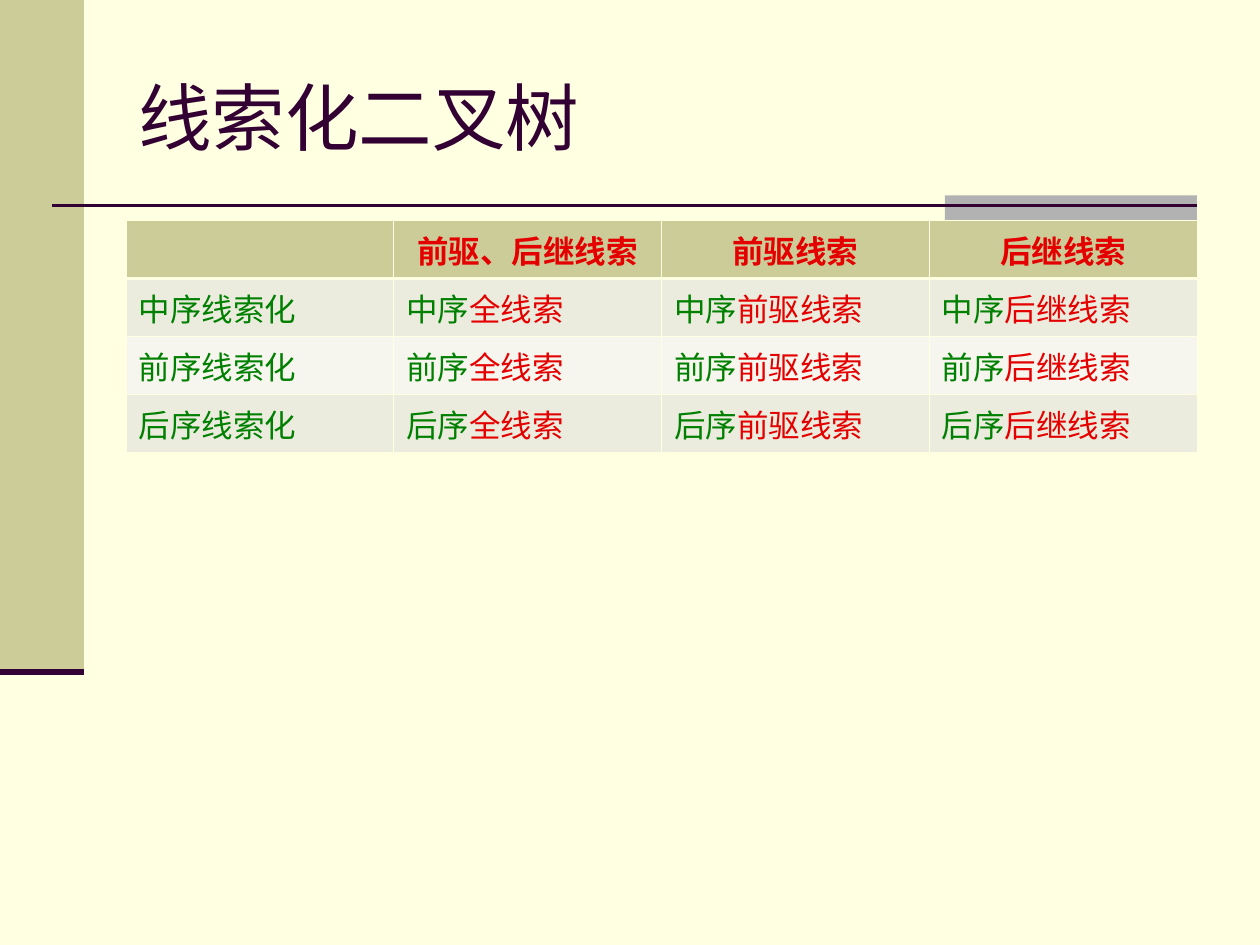
from dataclasses import dataclass

from lxml import etree
from pptx import Presentation
from pptx.dml.color import RGBColor
from pptx.enum.shapes import MSO_CONNECTOR, MSO_SHAPE
from pptx.enum.text import MSO_ANCHOR, PP_ALIGN
from pptx.oxml.ns import qn
from pptx.slide import Slide
from pptx.table import _Cell
from pptx.util import Pt

STRAIGHT = MSO_CONNECTOR.STRAIGHT
RECTANGLE = MSO_SHAPE.RECTANGLE
MIDDLE = MSO_ANCHOR.MIDDLE
LEFT = PP_ALIGN.LEFT
CENTER = PP_ALIGN.CENTER

FONT = "Arial"
COLORS = {
    "page": "FFFFE1",
    "olive": "CCCC99",
    "gray": "B2B2B2",
    "plum": "330033",
    "red": "E50000",
    "green": "008000",
    "band_dark": "ECECDE",
    "band_light": "F6F6EF",
}
ORDERS = ["中序", "前序", "后序"]
HEADINGS = ["前驱、后继线索", "前驱线索", "后继线索"]
THREADS = ["全线索", "前驱线索", "后继线索"]
ROW_HEIGHT = 33.12
THIN, THICK = 0.45, 1.47


@dataclass
class Block:
    left: float
    top: float
    width: float
    height: float
    color: str


@dataclass
class Rule:
    left: float
    right: float
    y: float
    weight: float


@dataclass
class Span:
    text: str
    color: str


BLOCKS = [Block(0, 0, 48, 384, "olive"), Block(540, 111.6, 144, 14.4, "gray")]
RULES = [Rule(30, 684, 117.5, 1.5), Rule(0, 48, 384, 3.5)]


def rgb(name: str) -> RGBColor:
    return RGBColor.from_string(COLORS[name])


def draw_block(page: Slide, block: Block) -> None:
    box = page.shapes.add_shape(
        RECTANGLE, Pt(block.left), Pt(block.top), Pt(block.width), Pt(block.height)
    )
    box.shadow.inherit = False
    box.fill.solid()
    box.fill.fore_color.rgb = rgb(block.color)
    box.line.fill.background()


def draw_rule(page: Slide, rule: Rule) -> None:
    line = page.shapes.add_connector(
        STRAIGHT, Pt(rule.left), Pt(rule.y), Pt(rule.right), Pt(rule.y)
    )
    line.line.color.rgb = rgb("plum")
    line.line.width = Pt(rule.weight)
    etree.SubElement(line._element.spPr, qn("a:effectLst"))


def draw_title(page: Slide, text: str) -> None:
    box = page.shapes.add_textbox(Pt(72), Pt(21.6), Pt(612), Pt(90))
    frame = box.text_frame
    frame.word_wrap = True
    frame.vertical_anchor = MIDDLE
    para = frame.paragraphs[0]
    para.text = text
    para.font.name = FONT
    para.font.size = Pt(42)
    para.font.color.rgb = rgb("plum")


def set_borders(cell: _Cell, top: float, bottom: float) -> None:
    properties = cell._tc.get_or_add_tcPr()
    weights = {"lnL": THIN, "lnR": THIN, "lnT": top, "lnB": bottom}
    for tag, weight in weights.items():
        border = etree.SubElement(properties, qn(f"a:{tag}"), w=str(Pt(weight)))
        fill = etree.SubElement(border, qn("a:solidFill"))
        etree.SubElement(fill, qn("a:srgbClr"), val=COLORS["page"])


def fill_cell(cell: _Cell, spans: list[Span], row: int) -> None:
    is_header = row == 0
    set_borders(cell, THICK if row == 1 else THIN, THICK if is_header else THIN)
    cell.fill.solid()
    band = "band_dark" if row % 2 else "band_light"
    cell.fill.fore_color.rgb = rgb("olive" if is_header else band)
    para = cell.text_frame.paragraphs[0]
    para.alignment = CENTER if is_header else LEFT
    para.font.name = FONT
    para.font.size = Pt(18)
    para.font.bold = is_header
    for span in spans:
        run = para.add_run()
        run.text = span.text
        run.font.color.rgb = rgb(span.color)


def draw_table(page: Slide) -> None:
    rows = [[[]] + [[Span(heading, "red")] for heading in HEADINGS]]
    for order in ORDERS:
        cells = [[Span(order, "green"), Span(thread, "red")] for thread in THREADS]
        rows.append([[Span(order + "线索化", "green")]] + cells)
    count = len(rows)
    table = page.shapes.add_table(
        count, len(rows[0]), Pt(72), Pt(126), Pt(612), Pt(ROW_HEIGHT * count)
    ).table
    for row, cells in enumerate(rows):
        table.rows[row].height = Pt(ROW_HEIGHT)
        for column, spans in enumerate(cells):
            fill_cell(table.cell(row, column), spans, row)


def main() -> None:
    deck = Presentation()
    deck.slide_width = Pt(720)
    deck.slide_height = Pt(540)
    page = deck.slides.add_slide(deck.slide_layouts[6])
    page.background.fill.solid()
    page.background.fill.fore_color.rgb = rgb("page")
    for block in BLOCKS:
        draw_block(page, block)
    for rule in RULES:
        draw_rule(page, rule)
    draw_title(page, "线索化二叉树")
    draw_table(page)
    deck.save("out.pptx")


if __name__ == "__main__":
    main()
